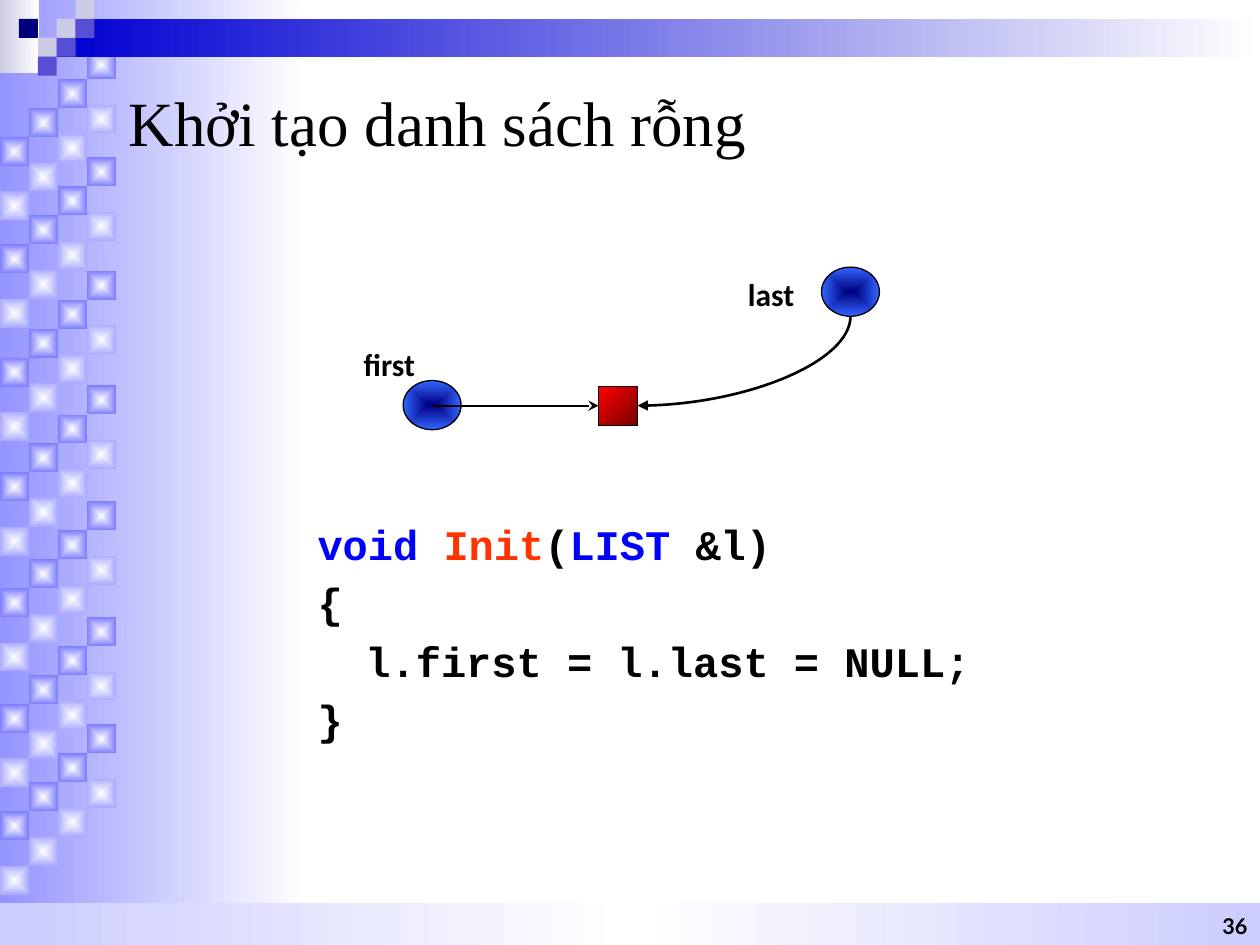
from itertools import product

from lxml.etree import SubElement
from pptx import Presentation
from pptx.dml.color import RGBColor
from pptx.enum.shapes import MSO_CONNECTOR, MSO_SHAPE
from pptx.enum.text import MSO_ANCHOR, MSO_AUTO_SIZE, PP_ALIGN
from pptx.oxml import parse_xml
from pptx.oxml.ns import nsdecls, qn
from pptx.util import Inches, Pt

THEME = {
    "black": "000000", "keyword": "0000FF", "function": "FF3300",
    "lavender": "CCCCE6", "violet": "584ED4", "navy": "00007D",
    "panel": ["9595FF", "FFFFFF"],
    "footer": ["CCCCFF", "FFFFFF", "CCCCFF"],
    "corner": ["CCCCE6", "FFFFFF"],
    "banner": ["0000D2", "FFFFFF"],
    "dark_tile": ["FFFFFF", "7D7DFF"],
    "light_tile": ["FFFFFF", "ABABFF"],
    "pointer": ["000080", "3366FF"],
    "null": ["FF0000", "760000"],
    "title": {"name": "Times New Roman", "size": Pt(36), "bold": False},
    "code": {"name": "Courier New", "size": Pt(24), "bold": True},
    "label": {"name": "Calibri", "size": Pt(18), "bold": True},
    "number": {"name": "Lato", "size": Pt(12.4), "bold": True},
}

presentation = Presentation()
presentation.slide_width, presentation.slide_height = Inches(10), Inches(7.5)
slide = presentation.slides.add_slide(presentation.slide_layouts[1])
shapes = slide.shapes


def add_figure(kind, box, fill, angle=0, outlined=False):
    """Add a shape; a list is a gradient, from the centre if angle is None."""
    shape = shapes.add_shape(kind, *map(Inches, box))
    shape.shadow.inherit = False
    if outlined:
        shape.line.color.rgb = RGBColor.from_string(THEME["black"])
        shape.line.width = Pt(0.75)
    else:
        shape.line.fill.background()
    colors = THEME[fill]
    if isinstance(colors, str):
        shape.fill.solid()
        shape.fill.fore_color.rgb = RGBColor.from_string(colors)
        return
    stops = "".join(
        f'<a:gs pos="{100000 * index // (len(colors) - 1)}"><a:srgbClr val="{color}"/></a:gs>'
        for index, color in enumerate(colors))
    direction = f'<a:lin ang="{(angle or 0) * 60000}" scaled="0"/>'
    if angle is None:
        direction = ('<a:path path="rect"><a:fillToRect l="50000" t="50000" '
                     'r="50000" b="50000"/></a:path>')
    gradient = parse_xml(f'<a:gradFill {nsdecls("a")} rotWithShape="1">'
                         f'<a:gsLst>{stops}</a:gsLst>{direction}</a:gradFill>')
    shape.element.spPr.find(qn("a:prstGeom")).addnext(gradient)


def add_run(paragraph, text, style, color="black"):
    run = paragraph.add_run()
    run.text = text
    for name, value in THEME[style].items():
        setattr(run.font, name, value)
    run.font.color.rgb = RGBColor.from_string(THEME[color])


# Left panel with diagonal chains of tiles
add_figure(MSO_SHAPE.RECTANGLE, (0, 0, 2.42, 7.5), "panel")
TILE = 0.23
chain_tops = [0.4, 1.25, 2.15, 3.06, 3.98, 4.9, 5.75]
tile_kinds = [("dark_tile", 0), ("light_tile", 0.43)]
for top, (fill, drop), step in product(chain_tops, tile_kinds, range(4)):
    box = (0.23 * (3 - step), top + drop + 0.23 * step, TILE, TILE)
    add_figure(MSO_SHAPE.RECTANGLE, box, fill, angle=None)

# Footer band, corner and top banner
for box, fill in [((0, 7.17, 10, 0.33), "footer"),
                  ((0, 0, 0.31, 0.58), "corner"),
                  ((0.45, 0.15, 9.55, 0.3), "banner")]:
    add_figure(MSO_SHAPE.RECTANGLE, box, fill)

# Small squares in the corner, on a 0.15 inch grid
for column, row, fill in [(3, 1, "lavender"), (4, 0, "lavender"), (4, 1, "violet"),
                          (2, 2, "lavender"), (1, 1, "navy"), (3, 2, "violet"),
                          (2, 3, "violet")]:
    add_figure(MSO_SHAPE.RECTANGLE, (0.15 * column, 0.15 * row, 0.15, 0.15), fill)

# Title and code placeholders, brought in front of the background
title, body = shapes.title, slide.placeholders[1]
for placeholder, box in [(title, (0.92, 0.5, 8.58, 0.92)),
                         (body, (2.42, 4, 6.33, 1.92))]:
    shapes.element.append(placeholder.element)
    for name, value in zip(("left", "top", "width", "height"), box):
        setattr(placeholder, name, Inches(value))
    placeholder.text_frame.auto_size = MSO_AUTO_SIZE.NONE
title.text_frame.vertical_anchor = MSO_ANCHOR.MIDDLE
title_paragraph = title.text_frame.paragraphs[0]
title_paragraph.alignment = PP_ALIGN.LEFT
add_run(title_paragraph, "Khởi tạo danh sách rỗng", "title")

code_lines = [
    [("void ", "keyword"), ("Init", "function"), ("(", "black"),
     ("LIST", "keyword"), (" &l)", "black")],
    [("{", "black")],
    [("\tl.first = l.last = NULL;", "black")],
    [("}", "black")],
]
code_frame = body.text_frame
code_frame.margin_top = Inches(0.16)
for index, line in enumerate(code_lines):
    paragraph = code_frame.add_paragraph() if index else code_frame.paragraphs[0]
    properties = paragraph._p.get_or_add_pPr()
    properties.set("marL", str(Inches(0.38)))
    properties.set("indent", str(Inches(-0.38)))
    SubElement(properties, qn("a:buNone"))
    paragraph.alignment = PP_ALIGN.JUSTIFY
    paragraph.line_spacing = 0.9
    paragraph.space_before = Pt(7.5 if index else 0)
    for text, color in line:
        add_run(paragraph, text, "code", color)

# Pointers and the NULL square
for left, top in [(3.2, 3.02), (6.52, 2.12)]:
    add_figure(MSO_SHAPE.OVAL, (left, top, 0.46, 0.39), "pointer", None, True)
add_figure(MSO_SHAPE.RECTANGLE, (4.75, 3.07, 0.31, 0.31), "null", 45, True)

# Arrows to the NULL square; the curve is a quarter bend turned by 90 degrees
for kind, ends, width, head in [
        (MSO_CONNECTOR.STRAIGHT, (3.44, 3.22, 4.75, 3.22), 1.25, "stealth"),
        (MSO_CONNECTOR.CURVE, (5.55, 2.02, 6.26, 3.71), 1.5, "triangle")]:
    arrow = shapes.add_connector(kind, *map(Inches, ends))
    arrow.line.color.rgb = RGBColor.from_string(THEME["black"])
    arrow.line.width = Pt(width)
    arrow_properties = arrow.element.spPr
    SubElement(arrow_properties.find(qn("a:ln")), qn("a:tailEnd"), type=head)
    SubElement(arrow_properties, qn("a:effectLst"))
    if kind == MSO_CONNECTOR.CURVE:
        arrow_properties.find(qn("a:prstGeom")).set("prst", "curvedConnector2")
        arrow_properties.find(qn("a:xfrm")).set("rot", str(90 * 60000))

# Pointer labels and slide number
for text, box, style, alignment, anchor, margins, spacing in [
        ("first", (2.64, 2.68, 0.9, 0.42), "label", PP_ALIGN.CENTER, MSO_ANCHOR.MIDDLE, (0, 0), 1),
        ("last", (5.67, 2.12, 0.9, 0.42), "label", PP_ALIGN.CENTER, MSO_ANCHOR.MIDDLE, (0, 0), 1),
        ("36", (7.67, 7.17, 2.33, 0.33), "number", PP_ALIGN.RIGHT, MSO_ANCHOR.BOTTOM, (0.1, 0.05), 0.8)]:
    frame = shapes.add_textbox(*map(Inches, box)).text_frame
    side, edge = map(Inches, margins)
    frame_format = {"word_wrap": True, "vertical_anchor": anchor,
                    "margin_left": side, "margin_right": side,
                    "margin_top": edge, "margin_bottom": edge}
    for name, value in frame_format.items():
        setattr(frame, name, value)
    paragraph = frame.paragraphs[0]
    paragraph.alignment = alignment
    paragraph.line_spacing = spacing
    add_run(paragraph, text, style)

presentation.save("out.pptx")
